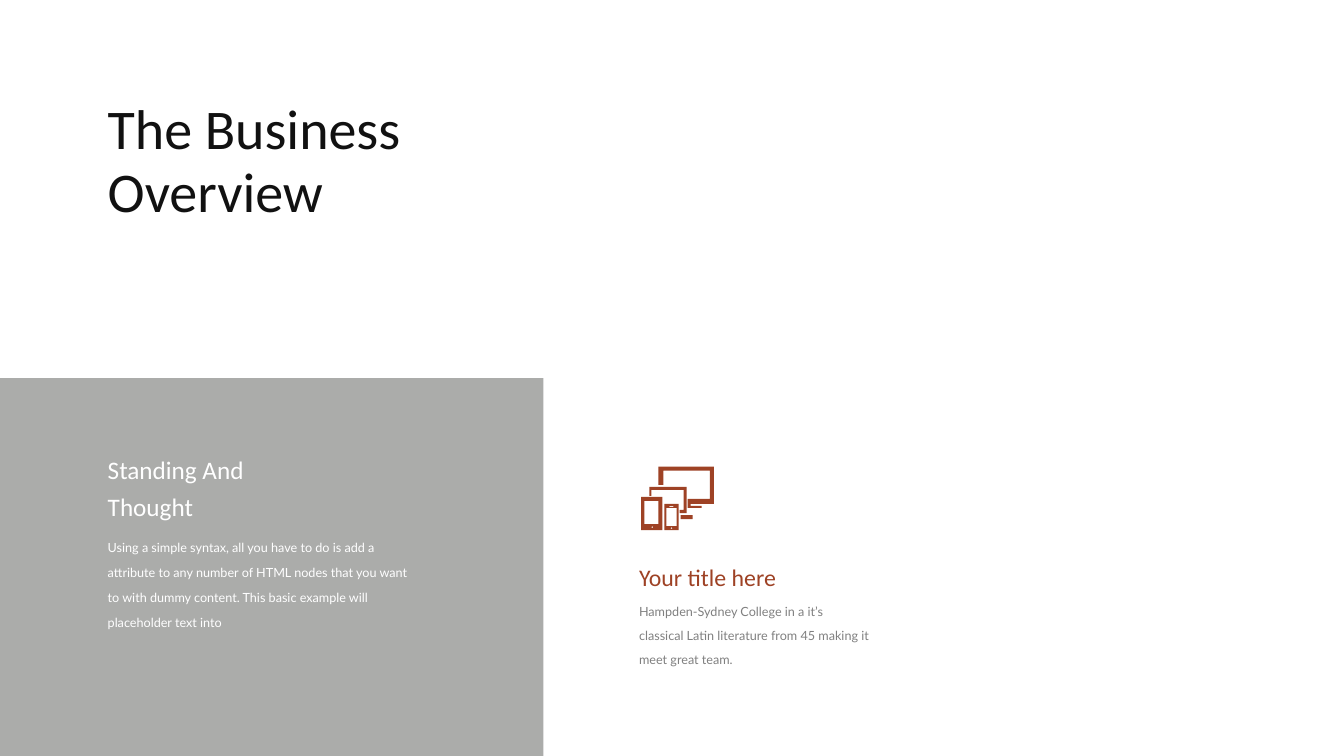
from pptx import Presentation
from pptx.dml.color import RGBColor
from pptx.enum import shapes, text
from pptx.util import Inches, Pt

INK = RGBColor(0x11, 0x11, 0x11)
RUST = RGBColor(0x9E, 0x42, 0x25)
GRAY = RGBColor(0x80, 0x80, 0x80)
PANEL = RGBColor(0xAB, 0xAC, 0xAA)
WHITE = RGBColor(0xFF, 0xFF, 0xFF)
TOP, MID = text.MSO_ANCHOR.TOP, text.MSO_ANCHOR.MIDDLE

# Texts: box, lines, font, size, line spacing in points, colour, anchor
TEXTS = [
    ((0.97, 0.92, 4.38, 1.36), ["The Business", "Overview"],
     "Calibri", 40, 45, INK, TOP),
    ((6.24, 5.53, 2.6, 0.39), ["Your title here"],
     "Calibri", 17, None, RUST, TOP),
    ((6.24, 5.86, 2.6, 0.78),
     ["Hampden-Sydney College in a it’s",
      "classical Latin literature from 45 making it meet great team."],
     "Lato", 9, 17, GRAY, TOP),
    ((0.97, 5.22, 3.19, 1.07),
     ["Using a simple syntax, all you have to do is add a attribute to any "
      "number of HTML nodes that you want to with dummy content. This basic "
      "example will placeholder text into"],
     "Lato", 9, 18, WHITE, MID),
    ((0.97, 4.4, 2.88, 0.81), ["Standing And", "Thought"],
     "Calibri", 18, 26, WHITE, TOP),
]

# Devices icon, in hundredths of an inch
MONITOR = [(708, 500), (708, 463), (653, 463), (653, 481), (658, 481),
           (658, 467), (704, 467), (704, 495), (682, 495), (682, 504),
           (696, 504), (696, 502), (685, 502), (685, 500)]
LAPTOP = [(674, 506), (674, 509), (681, 509), (681, 483), (644, 483),
          (644, 492), (646, 492), (646, 486), (678, 486), (678, 506)]
# Left, top, right, bottom: tablet, its screen, stand, phone, speaker, screen
BOXES = [(636, 493, 657, 526), (639, 497, 653, 520), (675, 511, 687, 515),
         (659, 500, 673, 526), (664, 502, 668, 503), (661, 504, 671, 522)]
# Buttons: centre and radius
DOTS = [(647, 523, 1), (666, 524, 1)]


def box(l, t, r, b):
    return [(l, t), (r, t), (r, b), (l, b)]


def dot(x, y, r):
    return [(x, y - r), (x + r, y), (x, y + r), (x - r, y)]


def paint(shape, color):
    shape.shadow.inherit = False
    shape.fill.solid()
    shape.fill.fore_color.rgb = color
    shape.line.fill.background()


def write(slide, place, lines, font, size, lead, color, anchor):
    frame = slide.shapes.add_textbox(*map(Inches, place)).text_frame
    frame.word_wrap = True
    frame.auto_size = text.MSO_AUTO_SIZE.SHAPE_TO_FIT_TEXT
    frame.vertical_anchor = anchor
    frame.text = "\n".join(lines)
    for para in frame.paragraphs:
        if lead:
            para.line_spacing = Pt(lead)
        para.font.name = font
        para.font.size = Pt(size)
        para.font.color.rgb = color


def draw(slide, paths):
    first, *rest = paths
    pen = slide.shapes.build_freeform(*first[0], scale=Inches(0.01))
    pen.add_line_segments(first[1:], close=True)
    for path in rest:
        pen.move_to(*path[0])
        pen.add_line_segments(path[1:], close=True)
    paint(pen.convert_to_shape(), RUST)


def main():
    deck = Presentation()
    deck.slide_width, deck.slide_height = Inches(13.33), Inches(7.5)
    slide = deck.slides.add_slide(deck.slide_layouts[6])

    # Gray panel
    panel = slide.shapes.add_shape(shapes.MSO_SHAPE.RECTANGLE, 0, Inches(3.75),
                                   Inches(5.39), Inches(3.75))
    paint(panel, PANEL)

    # Icon and texts
    draw(slide, [MONITOR, LAPTOP] + [box(*b) for b in BOXES]
         + [dot(*d) for d in DOTS])
    for item in TEXTS:
        write(slide, *item)
    deck.save("out.pptx")


if __name__ == "__main__":
    main()
